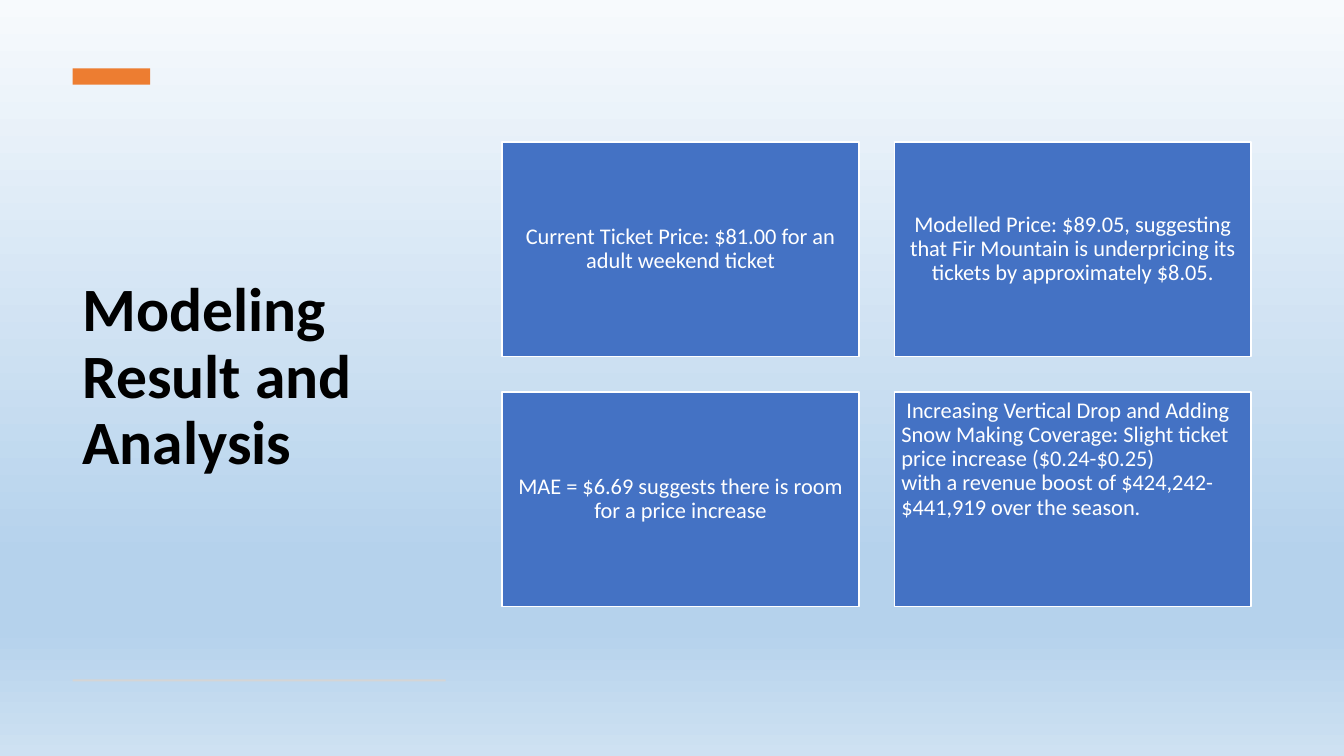
from pptx import Presentation
from pptx.dml.color import RGBColor
from pptx.enum.shapes import MSO_SHAPE
from pptx.enum.text import MSO_ANCHOR as ANCHOR, PP_ALIGN as ALIGN
from pptx.oxml.ns import qn
from pptx.util import Inches, Pt
from lxml import etree

BLACK = RGBColor(0x00, 0x00, 0x00)
WHITE = RGBColor(0xFF, 0xFF, 0xFF)
BLUE = RGBColor(0x44, 0x72, 0xC4)
ORANGE = RGBColor(0xED, 0x7D, 0x31)
GREY = RGBColor(0xD5, 0xD5, 0xD5)
SKY_STOPS = [
    (0, RGBColor(0xF7, 0xFA, 0xFD)),
    (74, RGBColor(0xB5, 0xD2, 0xEC)),
    (83, RGBColor(0xB5, 0xD2, 0xEC)),
    (100, RGBColor(0xCE, 0xE1, 0xF2)),
]

FONT = "Calibri"
LEFT, COLUMN_W = 0.72, 3.7
CARD_LEFT, CARD_TOP = 4.98, 1.41
CARD_W, CARD_H = 3.54, 2.13
CARD_GAP = 0.35
CARD_INSET = 0.07

CARDS = [
    ("Current Ticket Price: $81.00 for an adult weekend ticket",
     ALIGN.CENTER, ANCHOR.MIDDLE),
    ("Modelled Price: $89.05, suggesting that Fir Mountain is underpricing "
     "its tickets by approximately $8.05.", ALIGN.CENTER, ANCHOR.MIDDLE),
    ("MAE = $6.69 suggests there is room for a price increase",
     ALIGN.CENTER, ANCHOR.MIDDLE),
    (" Increasing Vertical Drop and Adding Snow Making Coverage: Slight "
     "ticket price increase ($0.24-$0.25)\vwith a revenue boost of "
     "$424,242-$441,919 over the season.", ALIGN.LEFT, ANCHOR.TOP),
]


def set_background(s):
    """Fill the slide with the sky gradient, running from top to bottom."""
    fill = s.background.fill
    fill.gradient()
    fill.gradient_angle = 270
    stops = s.element.find(".//" + qn("a:gsLst"))
    for gs in list(stops):
        stops.remove(gs)
    for percent, color in SKY_STOPS:
        gs = etree.SubElement(stops, qn("a:gs"), pos=str(percent * 1000))
        etree.SubElement(gs, qn("a:srgbClr"), val=str(color))


def add_rect(s, left, top, width, height, color):
    sp = s.shapes.add_shape(MSO_SHAPE.RECTANGLE, Inches(left), Inches(top),
                            Inches(width), Inches(height))
    sp.shadow.inherit = False
    sp.fill.solid()
    sp.fill.fore_color.rgb = color
    sp.line.fill.background()
    return sp


def set_text(sp, text, size, color, align, anchor, bold=False):
    tf = sp.text_frame
    tf.word_wrap = True
    tf.vertical_anchor = anchor
    p = tf.paragraphs[0]
    p.text = text
    p.alignment = align
    p.line_spacing = 0.9
    p.font.name = FONT
    p.font.size = Pt(size)
    p.font.bold = bold
    p.font.color.rgb = color


def add_title(s, text):
    sp = s.shapes.add_textbox(Inches(LEFT), Inches(1.05),
                              Inches(COLUMN_W), Inches(5.41))
    set_text(sp, text, 44, BLACK, ALIGN.LEFT, ANCHOR.MIDDLE, bold=True)


def add_card(s, left, top, text, align, anchor):
    sp = add_rect(s, left, top, CARD_W, CARD_H, BLUE)
    sp.line.color.rgb = WHITE
    sp.line.width = Pt(1)
    tf = sp.text_frame
    tf.margin_left = tf.margin_right = Inches(CARD_INSET)
    tf.margin_top = tf.margin_bottom = Inches(CARD_INSET)
    set_text(sp, text, 16, WHITE, align, anchor)


def main():
    prs = Presentation()
    prs.slide_width, prs.slide_height = Inches(13.33), Inches(7.5)
    s = prs.slides.add_slide(prs.slide_layouts[6])
    set_background(s)
    add_title(s, "Modeling Result and Analysis")
    add_rect(s, LEFT, 0.68, 0.77, 0.16, ORANGE)
    add_rect(s, LEFT, 6.74, COLUMN_W, 0.02, GREY)
    for i, (text, align, anchor) in enumerate(CARDS):
        row, col = divmod(i, 2)
        add_card(s, CARD_LEFT + col * (CARD_W + CARD_GAP),
                 CARD_TOP + row * (CARD_H + CARD_GAP), text, align, anchor)
    prs.save("out.pptx")


if __name__ == "__main__":
    main()
